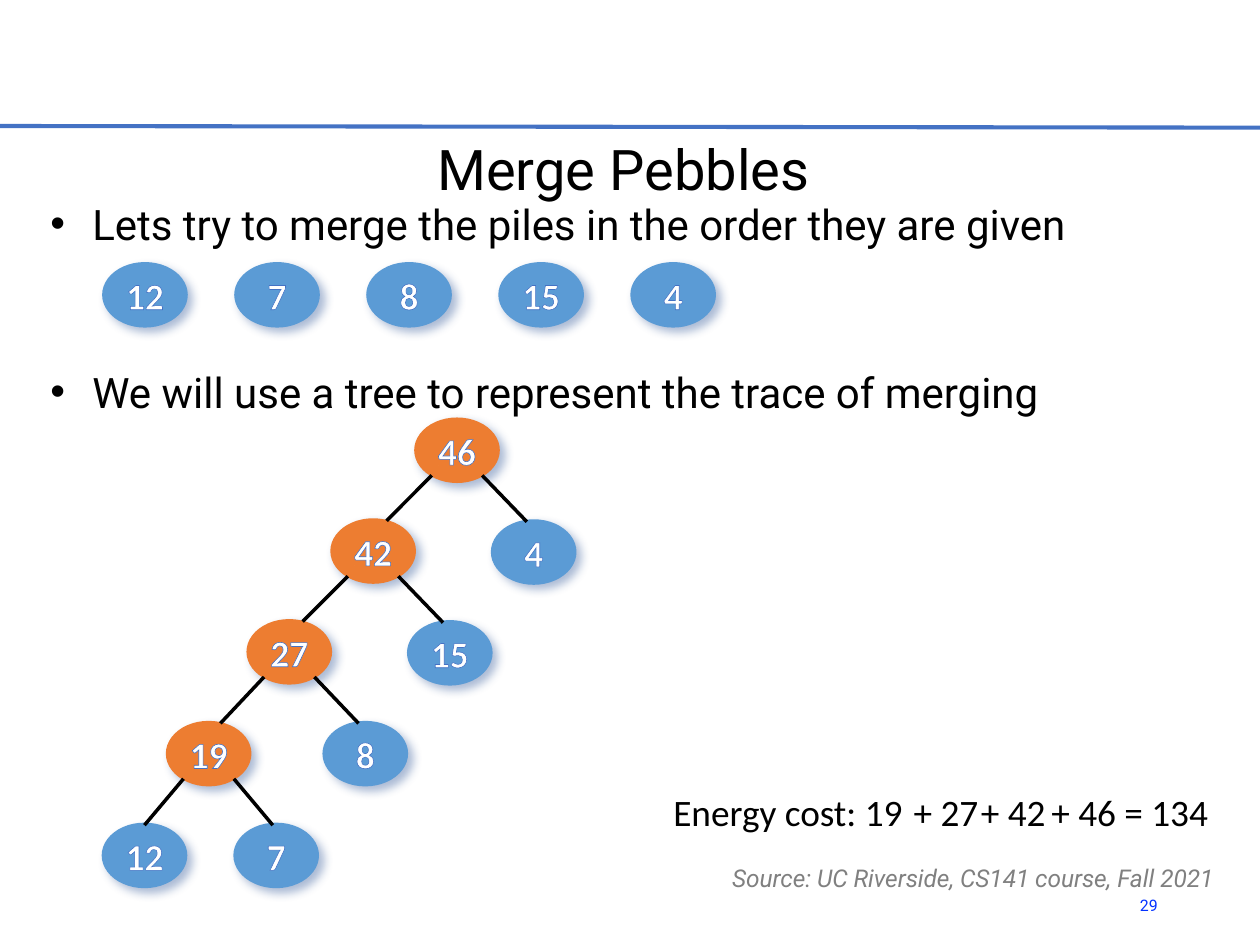
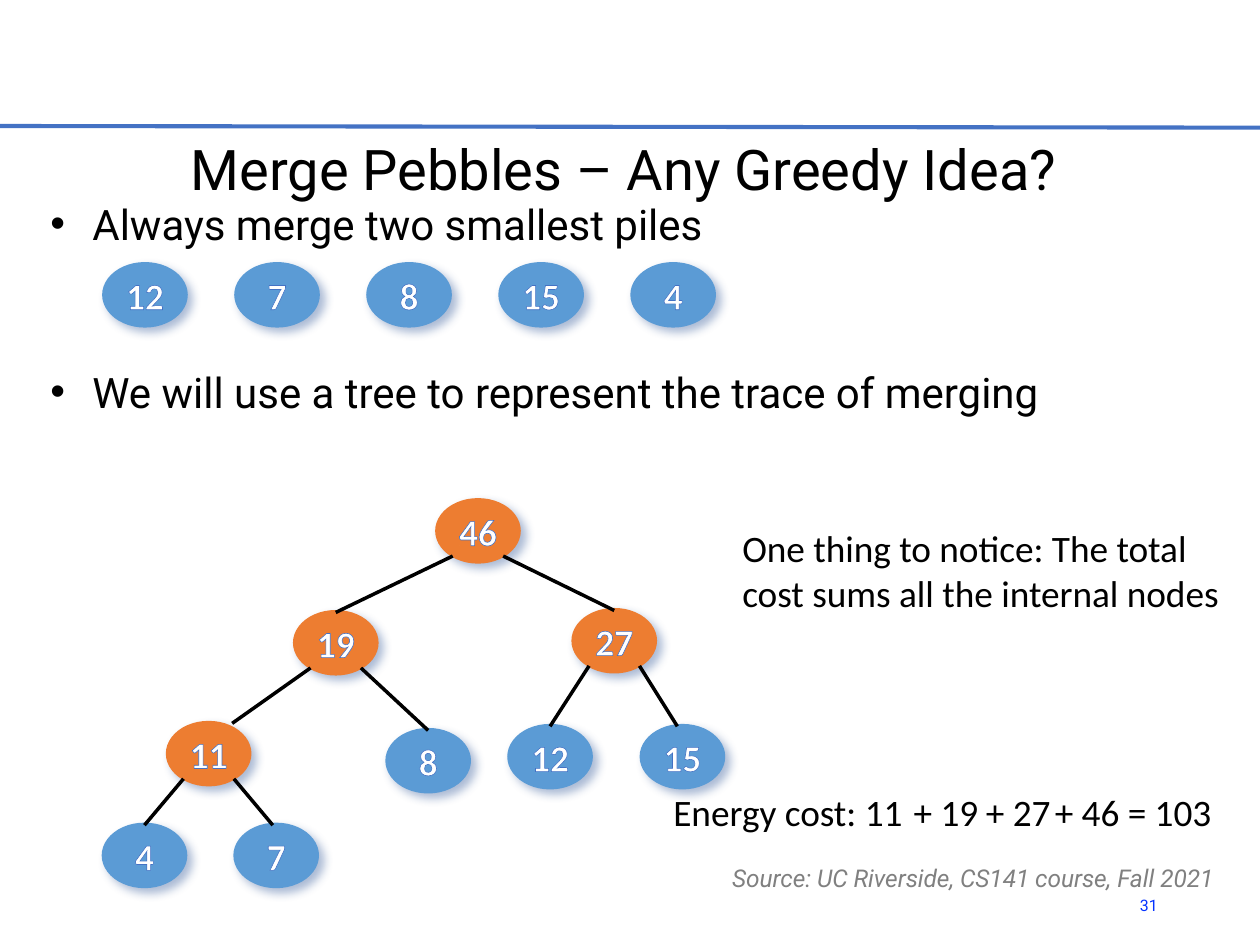
from collections import namedtuple

from lxml.etree import SubElement
from pptx import Presentation
from pptx.dml.color import RGBColor
from pptx.enum.shapes import MSO_CONNECTOR, MSO_SHAPE
from pptx.enum.text import MSO_ANCHOR, MSO_AUTO_SIZE, PP_ALIGN
from pptx.oxml.ns import qn
from pptx.util import Inches, Pt

COLORS = {
    "rule": "4472C4", "number": "0432FF", "text": "000000", "source": "808080",
    "leaf": "5B9BD5", "merged": "ED7D31", "shadow": "2F5597", "label": "FFFFFF",
}
HEAD_FONT, NOTE_FONT = "Roboto", "Calibri"

Box = namedtuple("Box", "left top width height")
Node = namedtuple("Node", "label column row parent landing", defaults=(None, 0))

# Regions of the slide, in inches; the page is 4:3
PAGE = Box(0, 0, 7.5, 7.5 * 3 / 4)
TITLE = Box(0.24, 0.79, 6.94, 0.41)
BODY = Box(0.2, 1.18, 7.03, 4.05)
PILES = Box(0.47, 1.56, 3.93, 0.39)
TREE = Box(0.86, 2.68, 3.51, 2.4)     # centres of the corner nodes
COST = Box(3.91, 4.65, 3.42, 0.37)
REMARK = Box(4.32, 3.08, 3.12, 0.64)
SOURCE = Box(4.26, 5.09, 3.18, 0.2)
NUMBER = Box(6.62, 5.24, 0.37, 0.3)

NODE_WIDTH, NODE_HEIGHT = 0.51, 0.39
TREE_COLUMNS, TREE_ROWS = 9, 4
PILE_LABELS = ["12", "7", "8", "15", "4"]

# Trees: label, column, row, index of parent, sideways shift of the edge's end
GIVEN_ORDER = [
    Node("46", 4.77, 0),
    Node("42", 3.49, 1, 0, 0.08), Node("4", 5.94, 1.01, 0, -0.04),
    Node("27", 2.21, 2, 1, 0.08), Node("15", 4.66, 2.01, 1, -0.04),
    Node("19", 0.98, 3.01, 3, 0.07), Node("8", 3.37, 3.01, 3, -0.04),
    Node("12", 0, 4.02, 5), Node("7", 2.01, 4.02, 5, -0.02),
]
SMALLEST_FIRST = [
    Node("46", 5.09, 0.8),
    Node("19", 2.92, 1.91, 0), Node("27", 7.17, 1.89, 0),
    Node("11", 0.98, 3.01, 1, 0.14), Node("8", 4.33, 3.08, 1),
    Node("12", 6.19, 3.04, 2), Node("15", 8.21, 3.04, 2, -0.03),
    Node("4", 0, 4.02, 3), Node("7", 2.01, 4.02, 3, -0.02),
]


def color(name):
    return RGBColor.from_string(COLORS[name])


def place(shape, box):
    shape.left, shape.top, shape.width, shape.height = map(Inches, box)


def style(para, size, name, face, **flags):
    for span in para.runs:
        span.font.size, span.font.name = Pt(size), face
        span.font.color.rgb = color(name)
        for flag, value in flags.items():
            setattr(span.font, flag, value)


def add_text(page, box, text, size, name, face, wrap=True, **flags):
    shape = page.shapes.add_textbox(*map(Inches, box))
    shape.text_frame.word_wrap = wrap
    para = shape.text_frame.paragraphs[0]
    para.text = text
    style(para, size, name, face, **flags)
    return shape.text_frame


def add_line(page, start, end, name, width):
    line = page.shapes.add_connector(
        MSO_CONNECTOR.STRAIGHT, *map(Inches, (*start, *end)))
    line.line.color.rgb = color(name)
    line.line.width = Pt(width)
    SubElement(line.element.spPr, qn("a:effectLst"))
    return line


def add_bullet(para):
    props = para._p.get_or_add_pPr()
    props.set("marL", str(Inches(0.25)))
    props.set("indent", str(-Inches(0.25)))
    SubElement(props, qn("a:buFont"), typeface="Arial")
    SubElement(props, qn("a:buChar"), char="•")


def add_shadow(shape):
    shape.shadow.inherit = False
    effects = shape.element.spPr.find(qn("a:effectLst"))
    outer = SubElement(effects, qn("a:outerShdw"), blurRad=str(Pt(4)),
                       dist=str(Pt(3)), dir=str(45 * 60000),
                       algn="tl", rotWithShape="0")
    tint = SubElement(outer, qn("a:srgbClr"), val=COLORS["shadow"])
    SubElement(tint, qn("a:alpha"), val="40000")


def outline_text(span):
    props = span.font._element
    line = SubElement(props, qn("a:ln"), w=str(Pt(0.8)))
    fill = SubElement(line, qn("a:solidFill"))
    SubElement(fill, qn("a:srgbClr"), val=COLORS["rule"])
    props.insert(0, line)


def add_node(page, center, label, fill):
    """One pile: a shadowed ellipse with its weight."""
    x, y = center
    oval = page.shapes.add_shape(MSO_SHAPE.OVAL, *map(Inches, (
        x - NODE_WIDTH / 2, y - NODE_HEIGHT / 2, NODE_WIDTH, NODE_HEIGHT)))
    oval.fill.solid()
    oval.fill.fore_color.rgb = color(fill)
    oval.line.fill.background()
    add_shadow(oval)
    frame = oval.text_frame
    frame.word_wrap = False
    frame.vertical_anchor = MSO_ANCHOR.MIDDLE
    frame.margin_left = frame.margin_right = 0
    frame.margin_top = frame.margin_bottom = 0
    para = frame.paragraphs[0]
    para.text, para.alignment = label, PP_ALIGN.CENTER
    style(para, 16, "label", NOTE_FONT, bold=True)
    outline_text(para.runs[0])


def add_piles(page, box):
    cell = box.width / len(PILE_LABELS)
    for column, label in enumerate(PILE_LABELS):
        center = box.left + cell * (column + 0.5), box.top + box.height / 2
        add_node(page, center, label, "leaf")


def add_tree(page, box, nodes):
    centers = [(box.left + node.column * box.width / TREE_COLUMNS,
                box.top + node.row * box.height / TREE_ROWS) for node in nodes]
    parents = {node.parent for node in nodes}
    for index, node in enumerate(nodes):
        add_node(page, centers[index], node.label,
                 "merged" if index in parents else "leaf")
    for node, (x, y) in zip(nodes, centers):
        if node.parent is None:
            continue
        parent_x, parent_y = centers[node.parent]
        side = 0.15 if x > parent_x else -0.15
        add_line(page, (parent_x + side, parent_y + 0.15),
                 (x + node.landing, y - 0.18), "text", 1.5)


def add_cost(page, box, terms):
    """Terms of the sum, each with its offset from the box and its width."""
    for text, offset, width in terms:
        add_text(page, Box(box.left + offset, box.top, width, box.height),
                 text, 16, "text", NOTE_FONT, wrap=False)


def add_footer(page, number):
    frame = add_text(page, NUMBER, number, 6.8, "number", HEAD_FONT)
    frame.vertical_anchor = MSO_ANCHOR.MIDDLE
    frame.paragraphs[0].alignment = PP_ALIGN.RIGHT
    frame = add_text(page, SOURCE, "Source: UC Riverside, CS141 course, Fall 2021",
                     10.5, "source", HEAD_FONT, italic=True)
    frame.vertical_anchor = MSO_ANCHOR.MIDDLE
    frame.paragraphs[0].line_spacing = Pt(18)
    frame.paragraphs[0].space_after = Pt(3)


def fill_title(page, text):
    frame = page.shapes.title.text_frame
    frame.text = text
    frame.auto_size = MSO_AUTO_SIZE.NONE
    frame.vertical_anchor = MSO_ANCHOR.MIDDLE
    frame.margin_left = frame.margin_right = frame.margin_bottom = 0
    frame.margin_top = Inches(0.01)
    frame.paragraphs[0].alignment = PP_ALIGN.CENTER
    style(frame.paragraphs[0], 24, "text", HEAD_FONT)


def fill_body(page, bullets):
    frame = page.placeholders[1].text_frame
    frame.text = "\n".join(bullets)
    frame.auto_size = MSO_AUTO_SIZE.NONE
    for index, para in enumerate(frame.paragraphs):
        add_bullet(para)
        para.line_spacing = Pt(18)
        para.space_before = Pt(51 if index else 0)   # room for the piles
        para.space_after = Pt(3)
        style(para, 18, "text", HEAD_FONT)


def add_merge_slide(deck, title, strategy, nodes, terms, number):
    page = deck.slides.add_slide(deck.slide_layouts[1])
    fill_title(page, title)
    fill_body(page, [strategy,
                     "We will use a tree to represent the trace of merging"])
    add_footer(page, number)
    add_piles(page, PILES)
    add_tree(page, TREE, nodes)
    add_cost(page, COST, terms)
    return page


def prepare_layout(deck, page):
    """Shared places of title and body, and the rule on the master."""
    layout = deck.slide_layouts[1]
    for holder, box in zip(layout.placeholders, (TITLE, BODY)):
        place(holder, box)
    rule = add_line(page, (0, 0.75), (PAGE.width, 0.76), "rule", 1.75)
    rule.element.nvCxnSpPr.cNvPr.set("id", "100")
    deck.slide_master.shapes.element.append(rule.element)


def main():
    deck = Presentation()
    deck.slide_width, deck.slide_height = Inches(PAGE.width), Inches(PAGE.height)

    # Merging in the given order
    page = add_merge_slide(
        deck, "Merge Pebbles",
        "Lets try to merge the piles in the order they are given", GIVEN_ORDER,
        [("Energy cost: 19", 0, 1.59), ("+ 27", 1.43, 0.59),
         ("+ 42", 1.83, 0.59), ("+ 46 = 134", 2.25, 1.15)], "29")
    prepare_layout(deck, page)

    # Greedy merging
    page = add_merge_slide(
        deck, "Merge Pebbles – Any Greedy Idea?",
        "Always merge two smallest piles", SMALLEST_FIRST,
        [("Energy cost: 11", 0, 1.59), ("+ 19", 1.43, 0.59),
         ("+ 27", 1.86, 0.59), ("+ 46 = 103", 2.27, 1.15)], "31")
    add_text(page, REMARK,
             "One thing to notice: The total cost sums all the internal nodes",
             16, "text", NOTE_FONT)

    deck.save("out.pptx")


if __name__ == "__main__":
    main()
